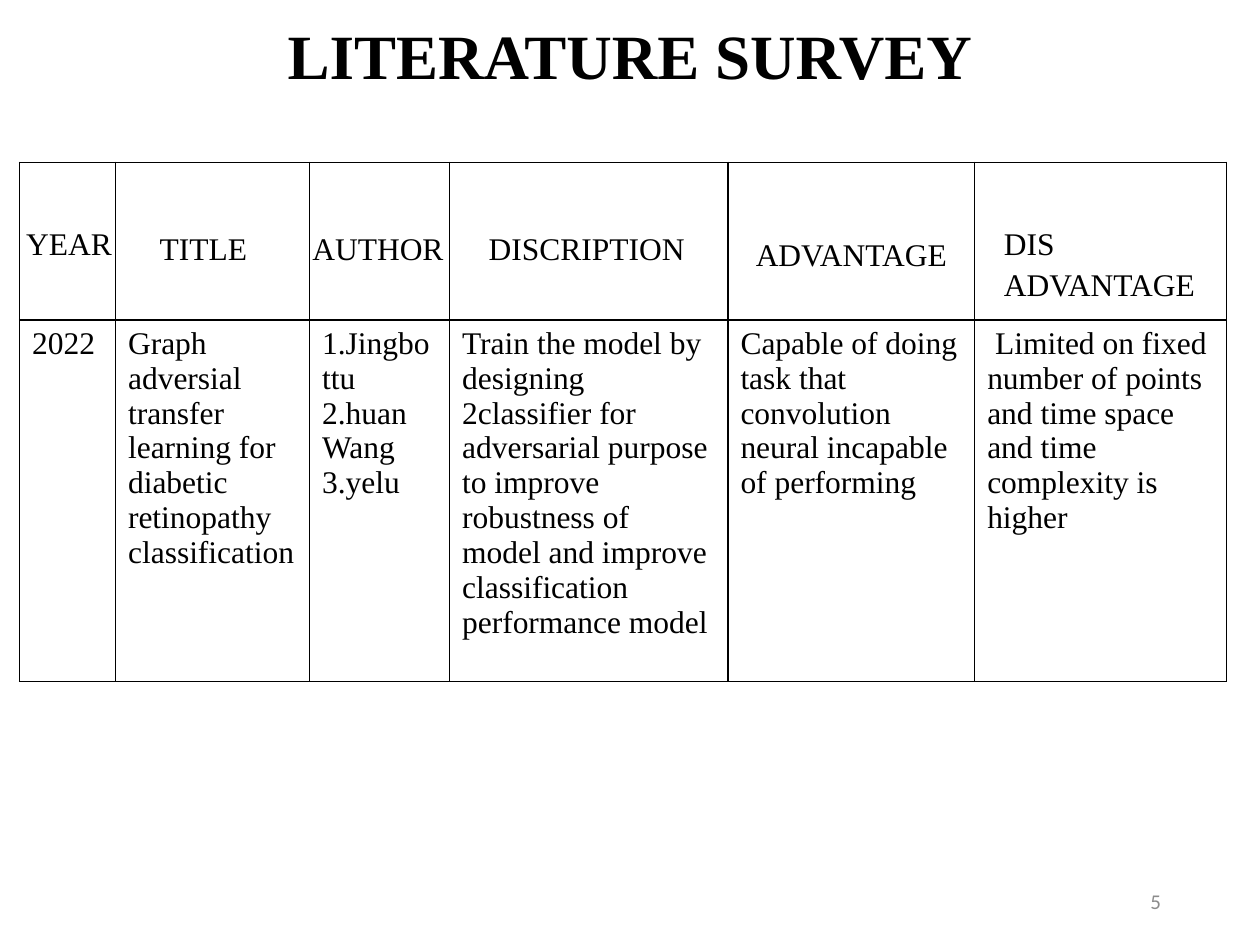
from typing import NamedTuple

from lxml import etree
from pptx import Presentation
from pptx import util as u
from pptx.dml.color import RGBColor
from pptx.enum import text
from pptx.oxml import ns

SERIF = "Times New Roman"
BLACK = "000000"
WHITE = "FFFFFF"


class Label(NamedTuple):
    lines: str
    left: float
    top: float
    width: float
    height: float = 29


class Style(NamedTuple):
    size: float = 18
    name: str = SERIF
    color: str = BLACK
    bold: bool = False
    align: text.PP_ALIGN = text.PP_ALIGN.LEFT
    spacing: float = 1.0


class Column(NamedTuple):
    width: float
    body: str


HEADERS = [
    Label("YEAR", 7.9, 123, 64),
    Label("TITLE", 84.2, 126, 65),
    Label("AUTHOR", 171.4, 126, 90),
    Label("DISCRIPTION", 272.2, 126, 127.5),
    Label("ADVANTAGE", 424.8, 129, 124.5),
    Label("DIS\nADVANTAGE", 566.6, 123, 124.5, 51),
]
COLUMNS = [
    Column(54.8, "2022"),
    Column(110.9, "Graph adversial transfer learning for diabetic retinopathy classification"),
    Column(80, "1.Jingbottu\n2.huan Wang\n3.yelu"),
    Column(159.1, "Train the model by designing 2classifier for adversarial purpose to improve "
                  "robustness of model and improve classification performance model"),
    Column(141, "Capable of doing task that convolution neural incapable of performing"),
    Column(144, " Limited on fixed number of points and time space and time complexity is higher"),
]
ROW_HEIGHTS = [90, 206.6]


def rgb(value: str) -> RGBColor:
    return RGBColor.from_string(value)


def write(tf, content: str, style: Style) -> None:
    tf.text = content
    for p in tf.paragraphs:
        p.alignment = style.align
        p.line_spacing = style.spacing
        p.font.size = u.Pt(style.size)
        p.font.name = style.name
        p.font.bold = style.bold
        p.font.color.rgb = rgb(style.color)


def add_label(s, label: Label, style: Style, wrap: bool = True) -> None:
    box = map(u.Pt, (label.left, label.top, label.width, label.height))
    tf = s.shapes.add_textbox(*box).text_frame
    tf.word_wrap = wrap
    if wrap:
        tf.vertical_anchor = text.MSO_ANCHOR.MIDDLE
    else:
        tf.auto_size = text.MSO_AUTO_SIZE.SHAPE_TO_FIT_TEXT
    write(tf, label.lines, style)


def style_cell(cell) -> None:
    cell.fill.solid()
    cell.fill.fore_color.rgb = rgb(WHITE)
    pr = cell._tc.get_or_add_tcPr()
    for i, side in enumerate(("lnL", "lnR", "lnT", "lnB")):
        ln = etree.Element(ns.qn(f"a:{side}"), w=str(u.Pt(1)))
        fill = etree.SubElement(ln, ns.qn("a:solidFill"))
        etree.SubElement(fill, ns.qn("a:srgbClr"), val=BLACK)
        pr.insert(i, ln)


def add_survey(s, left: float, top: float) -> None:
    width = sum(c.width for c in COLUMNS)
    frame = s.shapes.add_table(len(ROW_HEIGHTS), len(COLUMNS), u.Pt(left), u.Pt(top),
                               u.Pt(width), u.Pt(sum(ROW_HEIGHTS)))
    table = frame.table
    for row, height in zip(table.rows, ROW_HEIGHTS):
        row.height = u.Pt(height)
    for i, column in enumerate(COLUMNS):
        table.columns[i].width = u.Pt(column.width)
        write(table.cell(1, i).text_frame, column.body, Style())
    for cell in table.iter_cells():
        style_cell(cell)


def main() -> None:
    prs = Presentation()
    prs.slide_width, prs.slide_height = u.Pt(720), u.Pt(540)
    s = prs.slides.add_slide(prs.slide_layouts[6])
    add_label(s, Label("LITERATURE SURVEY", 49.5, 13, 621, 42),
              Style(36, bold=True, align=text.PP_ALIGN.CENTER, spacing=0.9))
    add_label(s, Label("5", 508.5, 500.5, 162),
              Style(12, "Calibri", "8C8C8C", align=text.PP_ALIGN.RIGHT))
    add_survey(s, 11.2, 92.8)
    for header in HEADERS:
        add_label(s, header, Style(spacing=1.07), wrap=False)
    prs.save("out.pptx")


if __name__ == "__main__":
    main()
